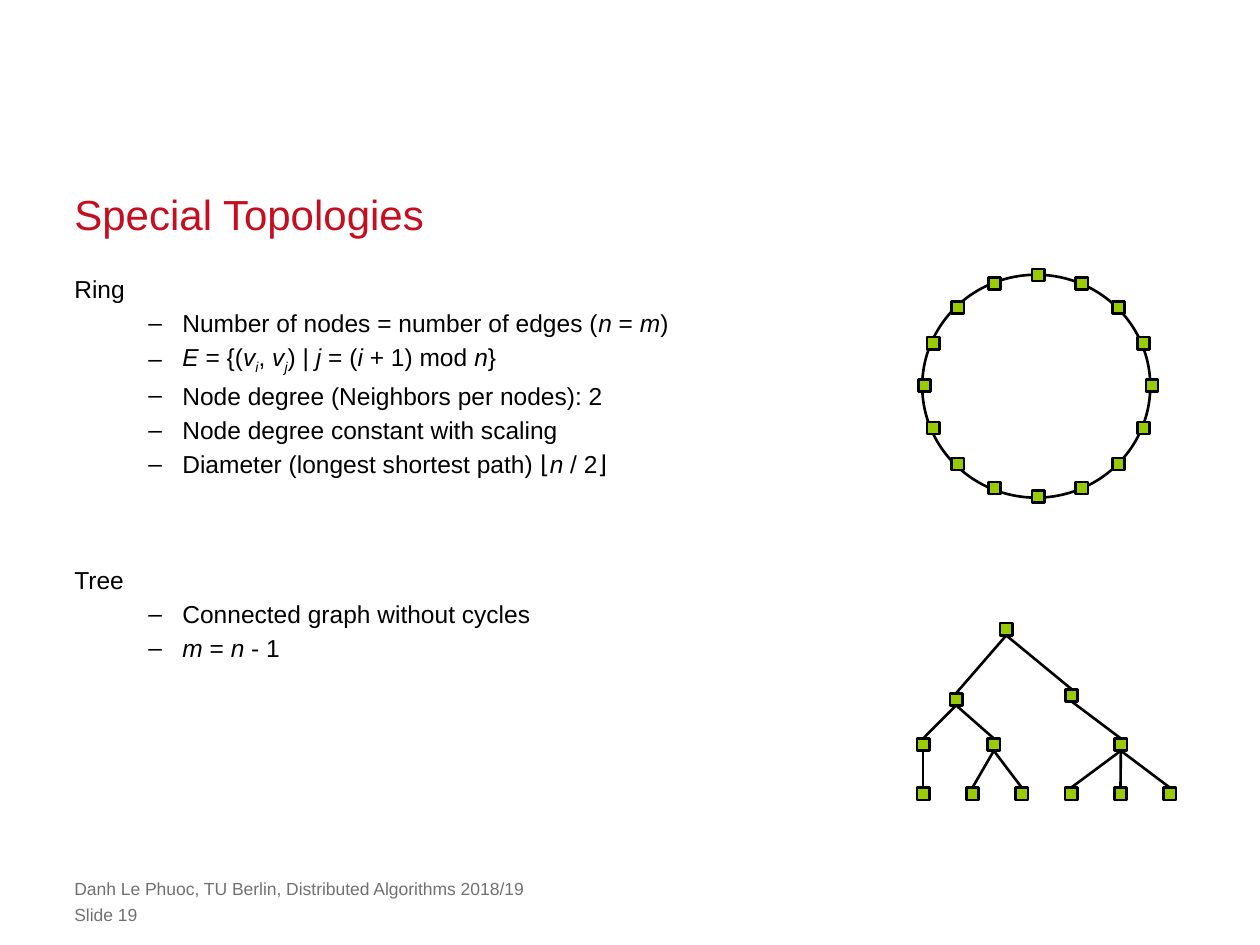
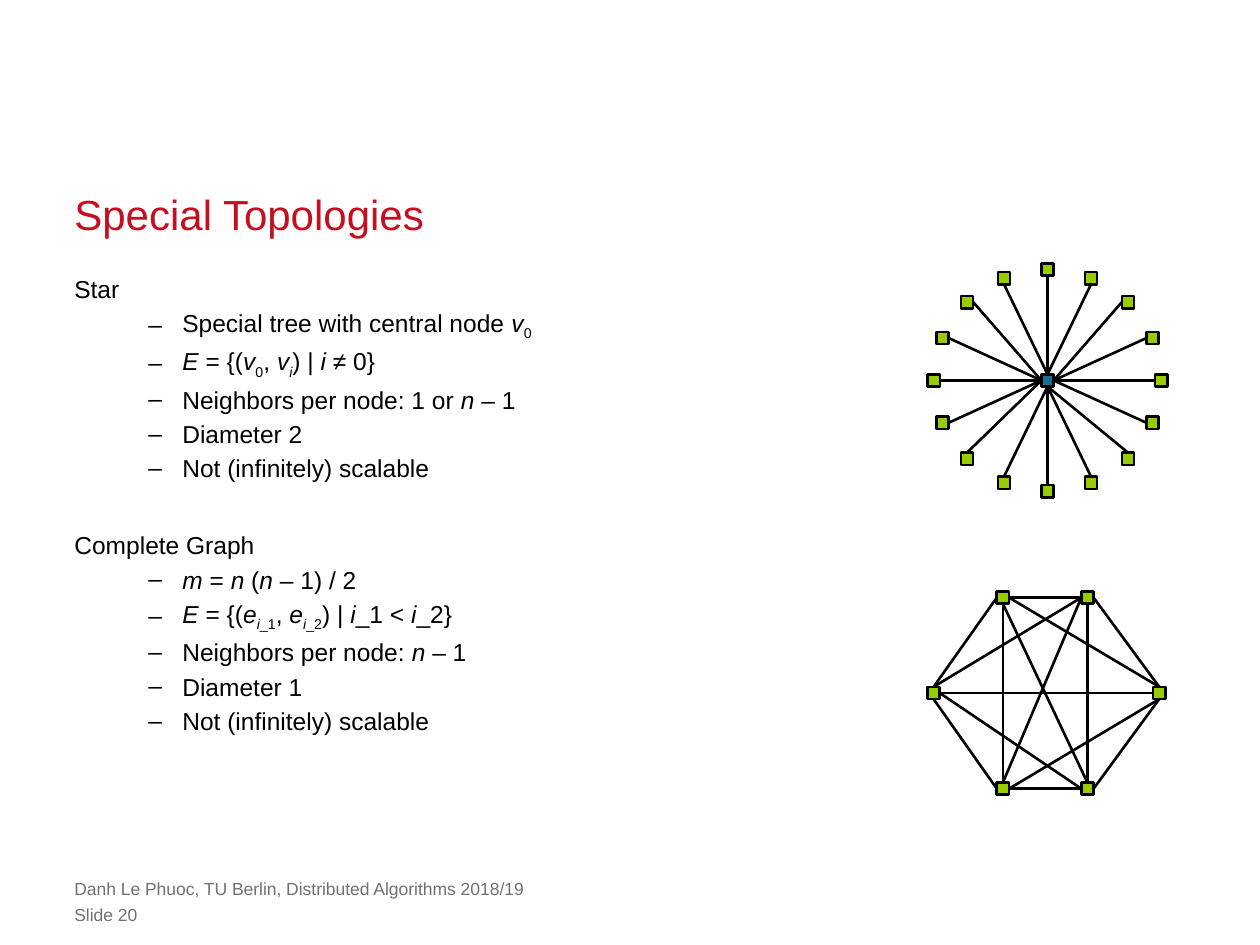
"""Build two slides on special graph topologies: ring, tree, star and complete graph."""
from math import cos, pi, sin

from lxml import etree
from pptx import Presentation
from pptx.dml.color import RGBColor
from pptx.enum import shapes, text
from pptx.oxml import ns
from pptx.util import Pt

RED = RGBColor(0xC5, 0x0E, 0x1F)
BLACK = RGBColor(0, 0, 0)
GREY = RGBColor(0x71, 0x71, 0x71)
GREEN = RGBColor(0x99, 0xCC, 0x00)
TEAL = RGBColor(0x17, 0x71, 0x91)

FONT = "Arial"
TITLE = "Special Topologies"
FOOTER = "Danh Le Phuoc, TU Berlin, Distributed Algorithms 2018/19"
LEFT = 42.5
TITLE_BOX = (LEFT, 106.5, 635, 30.3)
BODY_BOX = (LEFT, 151.2, 635, 320.4)
FOOTER_TOPS = (502, 516.3)

# Markup in the lists: *italic* and ~subscript~
RING_AND_TREE = [
    ("Ring", [
        "Number of nodes = number of edges (*n* = *m*)",
        "*E* = {(*v*~*i*~, *v*~*j*~) | *j* = (*i* + 1) mod *n*}",
        "Node degree (Neighbors per nodes): 2",
        "Node degree constant with scaling",
        "Diameter (longest shortest path) ⌊*n* / 2⌋",
    ]),
    ("Tree", ["Connected graph without cycles", "*m* = *n* - 1"]),
]
STAR_AND_COMPLETE = [
    ("Star", [
        "Special tree with central node *v*~0~",
        "*E* = {(*v*~0~, *v*~*i*~) | *i* ≠ 0}",
        "Neighbors per node: 1 or *n* – 1",
        "Diameter 2",
        "Not (infinitely) scalable",
    ]),
    ("Complete Graph", [
        "*m* = *n* (*n* – 1) / 2",
        "*E* = {(*e*~*i*_1~, *e*~*i*_2~) | *i*_1 < *i*_2}",
        "Neighbors per node: *n* – 1",
        "Diameter 1",
        "Not (infinitely) scalable",
    ]),
]

NODE = 7
CIRCLE_NODES = 16
RADIUS_X, RADIUS_Y = 65, 63.3
RING_CENTRE = (593.3, 220.4)
RING_LINE_BOX = (527, 157, 130.3, 127.4)
STAR_CENTRE = (598.6, 217.4)
SIDES = "TLBR"
SPOKE_NODE_SIDES = "BBLLLLTTTTTRRRRB"
SPOKE_HUB_SIDES = "TTRRRRBBBBLLLLLT"

LEAF_LEFT, LEAF_STEP, LEAF_Y = 527.5, 28.2, 453.6
TREE_NODES = {
    "root": (575, 359.6),
    "left": (546.4, 399.6), "right": (612.4, 397.4),
    "left a": (527.5, 425.5), "left b": (567.9, 425.5), "right a": (640.5, 425.5),
}
TREE_CHILDREN = {
    "root": ["left", "right"],
    "left": ["left a", "left b"],
    "right": ["right a"],
    "left a": [0],
    "left b": [1, 2],
    "right a": [3, 4, 5],
}

COMPLETE_NODES = {
    "NW": (573.1, 341.5), "NE": (621.4, 341.5), "E": (662.4, 396),
    "SE": (621.4, 450.7), "SW": (573.1, 450.7), "W": (533.5, 396),
}
COMPLETE_EDGES = [
    ("W", "T", "NW", "L"), ("NW", "R", "NE", "L"), ("NE", "R", "E", "T"),
    ("E", "B", "SE", "R"), ("SE", "L", "SW", "R"), ("SW", "L", "W", "B"),
    ("W", "T", "NE", "L"), ("NW", "R", "E", "T"), ("NE", "B", "SE", "T"),
    ("E", "B", "SW", "R"), ("SE", "L", "W", "R"), ("SW", "T", "NW", "B"),
    ("W", "R", "E", "L"), ("NW", "B", "SE", "T"), ("NE", "L", "SW", "T"),
]


def points(values):
    return [Pt(value) for value in values]


def add_span(para, words, size, colour, italic=False, subscript=False):
    span = para.add_run()
    span.text = words
    span.font.name, span.font.size = FONT, Pt(size)
    span.font.color.rgb = colour
    if italic:
        span.font.italic = True
    if subscript:
        span.font._element.set("baseline", "-25000")


def add_marked_text(para, line):
    for depth, part in enumerate(line.split("~")):
        for turn, words in enumerate(part.split("*")):
            if words:
                add_span(para, words, 14, BLACK, turn % 2 == 1, depth % 2 == 1)


def prepare(box, place, anchor):
    box.left, box.top, box.width, box.height = points(place)
    frame = box.text_frame
    frame.margin_left = frame.margin_top = frame.margin_right = frame.margin_bottom = 0
    frame.word_wrap = True
    frame.auto_size = text.MSO_AUTO_SIZE.NONE
    frame.vertical_anchor = anchor
    return frame


def indent(para, margin, hanging):
    properties = para._p.get_or_add_pPr()
    properties.set("marL", str(Pt(margin)))
    properties.set("indent", str(Pt(-hanging)))
    return properties


def fill_body(frame, sections, section_gap):
    para = frame.paragraphs[0]
    for number, (heading, items) in enumerate(sections):
        if number:
            para = frame.add_paragraph()
        para.line_spacing = Pt(22)
        para.space_before = Pt(section_gap if number else 0)
        etree.SubElement(indent(para, 27, 27), ns.qn("a:buNone"))
        add_marked_text(para, heading)
        for item in items:
            para = frame.add_paragraph()
            para.level = 1
            indent(para, 61.7, 19.4)
            add_marked_text(para, item)


def add_page(deck, number, sections, section_gap):
    page = deck.slides.add_slide(deck.slide_layouts[1])
    para = prepare(page.shapes.title, TITLE_BOX, text.MSO_ANCHOR.BOTTOM).paragraphs[0]
    para.alignment = text.PP_ALIGN.LEFT
    para.line_spacing = Pt(30)
    add_span(para, TITLE, 24, RED)
    body = prepare(page.placeholders[1], BODY_BOX, text.MSO_ANCHOR.TOP)
    fill_body(body, sections, section_gap)
    for top, words in zip(FOOTER_TOPS, (FOOTER, f"Slide {number}")):
        place = (LEFT, top, 521, 12)
        box = page.shapes.add_textbox(*points(place))
        frame = prepare(box, place, text.MSO_ANCHOR.TOP)
        add_span(frame.paragraphs[0], words, 10, GREY)
    return page


def outline(shape):
    shape.line.color.rgb = BLACK
    shape.line.width = Pt(1.5)


def add_node(page, centre, colour=GREEN):
    x, y = centre
    place = points((x - NODE / 2, y - NODE / 2, NODE, NODE))
    node = page.shapes.add_shape(shapes.MSO_SHAPE.RECTANGLE, *place)
    node.shadow.inherit = False
    node.fill.solid()
    node.fill.fore_color.rgb = colour
    outline(node)
    return node


def add_edge(page, start, start_side, end, end_side):
    edge = page.shapes.add_connector(shapes.MSO_CONNECTOR.STRAIGHT, 0, 0, 0, 0)
    edge.begin_connect(start, SIDES.index(start_side))
    edge.end_connect(end, SIDES.index(end_side))
    outline(edge)
    etree.SubElement(edge._element.spPr, ns.qn("a:effectLst"))


def add_circle_of_nodes(page, centre):
    angles = [2 * pi * step / CIRCLE_NODES for step in range(CIRCLE_NODES)]
    return [
        add_node(page, (centre[0] + RADIUS_X * sin(angle), centre[1] - RADIUS_Y * cos(angle)))
        for angle in angles
    ]


def draw_ring(page):
    ring = page.shapes.add_shape(shapes.MSO_SHAPE.OVAL, *points(RING_LINE_BOX))
    ring.shadow.inherit = False
    ring.fill.background()
    outline(ring)
    add_circle_of_nodes(page, RING_CENTRE)


def draw_tree(page):
    leaves = {leaf: (LEAF_LEFT + leaf * LEAF_STEP, LEAF_Y) for leaf in range(6)}
    nodes = {name: add_node(page, centre) for name, centre in (leaves | TREE_NODES).items()}
    for parent, children in TREE_CHILDREN.items():
        for child in children:
            add_edge(page, nodes[child], "T", nodes[parent], "B")


def draw_star(page):
    nodes = add_circle_of_nodes(page, STAR_CENTRE)
    hub = add_node(page, STAR_CENTRE, TEAL)
    for node, node_side, hub_side in zip(nodes, SPOKE_NODE_SIDES, SPOKE_HUB_SIDES):
        add_edge(page, node, node_side, hub, hub_side)


def draw_complete_graph(page):
    nodes = {name: add_node(page, centre) for name, centre in COMPLETE_NODES.items()}
    for start, start_side, end, end_side in COMPLETE_EDGES:
        add_edge(page, nodes[start], start_side, nodes[end], end_side)


def main():
    deck = Presentation()
    deck.slide_width, deck.slide_height = Pt(720), Pt(540)
    page = add_page(deck, 19, RING_AND_TREE, 44)
    draw_ring(page)
    draw_tree(page)
    page = add_page(deck, 20, STAR_AND_COMPLETE, 22)
    draw_star(page)
    draw_complete_graph(page)
    deck.save("out.pptx")


if __name__ == "__main__":
    main()
